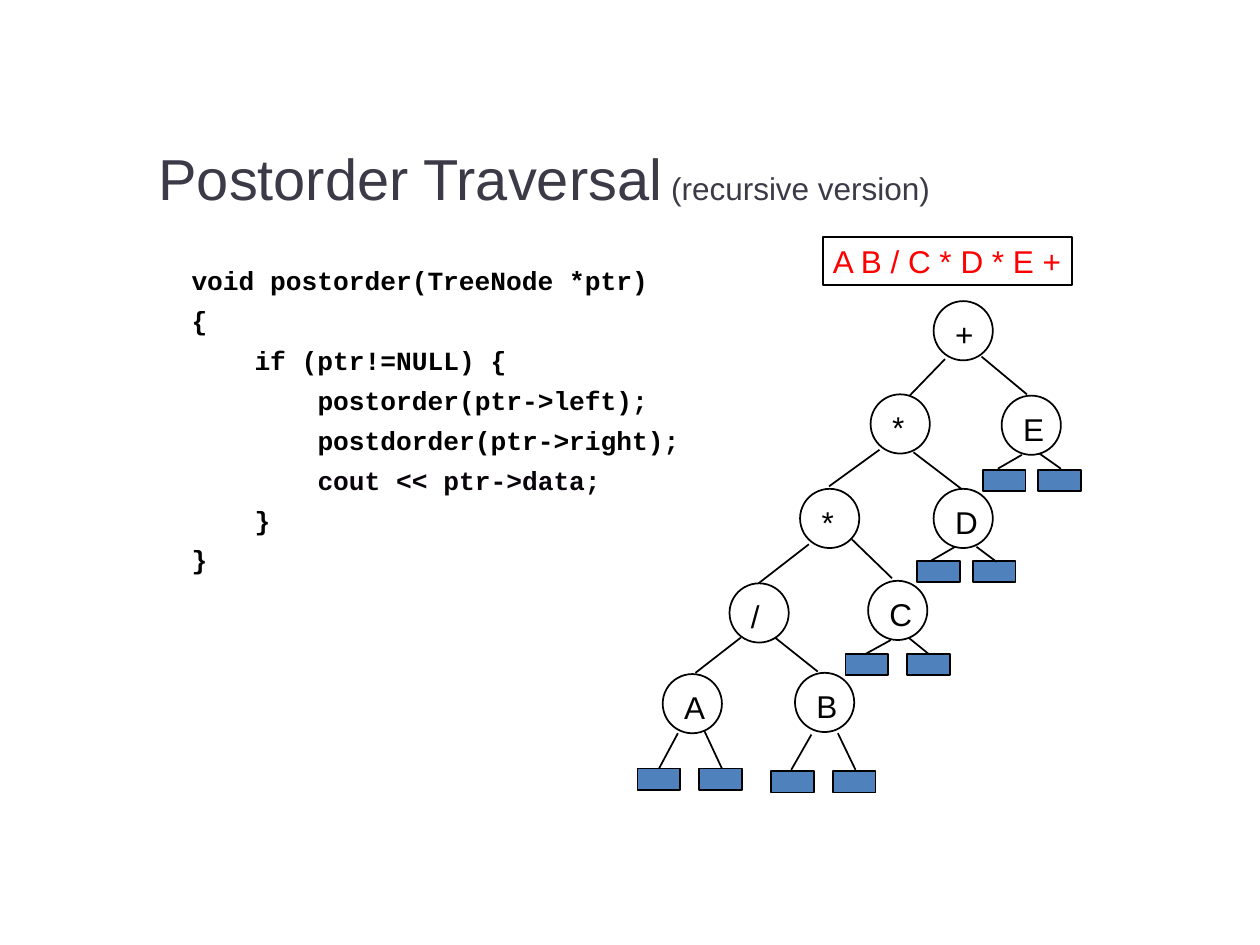
import dataclasses

import pptx
import pptx.dml.color
import pptx.enum.shapes
import pptx.enum.text
import pptx.util
from lxml import etree
from pptx.util import Inches

SHAPE = pptx.enum.shapes.MSO_SHAPE
ANCHOR = pptx.enum.text.MSO_ANCHOR
ALIGN = pptx.enum.text.PP_ALIGN


@dataclasses.dataclass(frozen=True)
class Theme:
    body: str = "Arial"
    mono: str = "Courier New"
    title: str = "3D3A48"
    ink: str = "000000"
    code_accent: str = "090409"
    result: str = "FF0000"
    leaf: str = "4F81BD"
    title_size: float = 33
    text_size: float = 18
    code_size: float = 15
    code_gap: float = 4.8
    line_width: float = 1


class TreeSlide:
    """Draws a titled code and tree slide in one theme."""

    def __init__(self, prs, theme):
        self.theme = theme
        self.s = prs.slides.add_slide(prs.slide_layouts[5])

    def frame(self, sp, **formats):
        tf = sp.text_frame
        defaults = dict(
            word_wrap=True, vertical_anchor=ANCHOR.TOP,
            auto_size=pptx.enum.text.MSO_AUTO_SIZE.NONE,
            margin_left=Inches(0.08), margin_right=Inches(0.08),
            margin_top=Inches(0.04), margin_bottom=Inches(0.04))
        for name, value in {**defaults, **formats}.items():
            setattr(tf, name, value)
        return tf

    def run(self, p, text, size, color, font=None, bold=False):
        r = p.add_run()
        r.text = text
        formats = dict(name=font or self.theme.body, bold=bold,
                       size=pptx.util.Pt(size))
        for name, value in formats.items():
            setattr(r.font, name, value)
        r.font.color.rgb = pptx.dml.color.RGBColor.from_string(color)

    def outline(self, sp):
        sp.line.width = pptx.util.Pt(self.theme.line_width)
        sp.line.color.rgb = pptx.dml.color.RGBColor.from_string(self.theme.ink)

    def title(self, box, main, note):
        sp = self.s.shapes.title
        for name, value in zip(("left", "top", "width", "height"), box):
            setattr(sp, name, Inches(value))
        p = self.frame(sp, vertical_anchor=ANCHOR.MIDDLE).paragraphs[0]
        p.alignment = ALIGN.CENTER
        self.run(p, main, self.theme.title_size, self.theme.title)
        self.run(p, note, self.theme.text_size, self.theme.title)

    def code(self, box, lines):
        tf = self.frame(self.s.shapes.add_textbox(*map(Inches, box)))
        for i, (level, text, color) in enumerate(lines):
            p = tf.add_paragraph() if i else tf.paragraphs[0]
            p.space_before = pptx.util.Pt(self.theme.code_gap)
            p._p.get_or_add_pPr().set("marL", str(Inches(0.5 * level)))
            self.run(p, text, self.theme.code_size, color, self.theme.mono, True)

    def shape(self, kind, box, fill=None, shapes=None):
        sp = (shapes or self.s.shapes).add_shape(kind, *map(Inches, box))
        sp.shadow.inherit = False
        if fill:
            sp.fill.solid()
            sp.fill.fore_color.rgb = pptx.dml.color.RGBColor.from_string(fill)
        else:
            sp.fill.background()
        self.outline(sp)
        return sp

    def node(self, text, x, y, width):
        shapes = self.s.shapes.add_group_shape().shapes
        self.shape(SHAPE.OVAL, (x, y, 0.47, 0.47), shapes=shapes)
        box = (x + 0.09, y + 0.07, width, 0.38)
        tf = self.frame(shapes.add_textbox(*map(Inches, box)), word_wrap=False)
        self.run(tf.paragraphs[0], text, self.theme.text_size, self.theme.ink)

    def leaf(self, x, y):
        self.shape(SHAPE.RECTANGLE, (x, y, 0.34, 0.17), self.theme.leaf)

    def edge(self, *ends):
        sp = self.s.shapes.add_connector(
            pptx.enum.shapes.MSO_CONNECTOR.STRAIGHT, *map(Inches, ends))
        self.outline(sp)
        etree.SubElement(sp._element.spPr, pptx.oxml.ns.qn("a:effectLst"))

    def result(self, box, text):
        sp = self.shape(SHAPE.RECTANGLE, box)
        p = self.frame(sp, word_wrap=False).paragraphs[0]
        p.alignment = ALIGN.LEFT
        self.run(p, text, self.theme.text_size, self.theme.result)


def main():
    prs = pptx.Presentation()
    prs.slide_width, prs.slide_height = Inches(10), Inches(7.5)
    theme = Theme()
    s = TreeSlide(prs, theme)
    s.title((0.56, 0.94, 7.52, 0.94), "Postorder Traversal", " (recursive version)")
    s.code((1.44, 2.06, 5.69, 3.37), [
        (0, "void postorder(TreeNode *ptr)", theme.ink),
        (0, "{", theme.ink),
        (1, "if (ptr!=NULL) {", theme.ink),
        (2, "postorder(ptr->left);", theme.ink),
        (2, "postdorder(ptr->right);", theme.ink),
        (2, "cout << ptr->data;", theme.code_accent),
        (1, "}", theme.ink),
        (0, "}", theme.ink),
    ])

    nodes = [
        ("+", 7.41, 2.39, 0.3), ("*", 6.91, 3.13, 0.25), ("A", 5.26, 5.35, 0.32),
        ("*", 6.35, 3.88, 0.25), ("/", 5.79, 4.63, 0.22), ("E", 7.95, 3.14, 0.32),
        ("D", 7.41, 3.88, 0.33), ("C", 6.89, 4.61, 0.33), ("B", 6.31, 5.34, 0.32),
    ]
    for node in nodes:
        s.node(*node)

    branches = [
        (7.5, 2.85, 7.22, 3.14), (7.79, 2.83, 8.15, 3.13),
        (6.98, 3.57, 6.58, 3.86), (7.25, 3.59, 7.63, 3.88),
        (6.42, 4.32, 6.02, 4.63), (6.76, 4.28, 7.08, 4.59),
        (5.88, 5.06, 5.52, 5.34), (6.15, 5.06, 6.49, 5.33),
    ]
    for branch in branches:
        s.edge(*branch)

    leaf_pairs = [
        (5.06, 6.1, 0.49, (5.38, 5.82, 5.23, 6.1), (5.59, 5.8, 5.73, 6.1)),
        (6.12, 6.12, 0.49, (6.44, 5.83, 6.28, 6.11), (6.65, 5.82, 6.79, 6.11)),
        (6.71, 5.19, 0.49, (7.07, 5.08, 6.87, 5.19), (7.21, 5.06, 7.37, 5.19)),
        (7.28, 4.45, 0.44, (7.58, 4.34, 7.39, 4.45), (7.75, 4.34, 7.91, 4.46)),
        (7.8, 3.73, 0.44, (8.11, 3.61, 7.92, 3.72), (8.25, 3.6, 8.42, 3.72)),
    ]
    for x, y, step, *stems in leaf_pairs:
        for i, stem in enumerate(stems):
            s.leaf(x + i * step, y)
            s.edge(*stem)

    s.result((6.53, 1.88, 1.98, 0.38), "A B / C * D * E +")
    prs.save("out.pptx")


if __name__ == "__main__":
    main()
